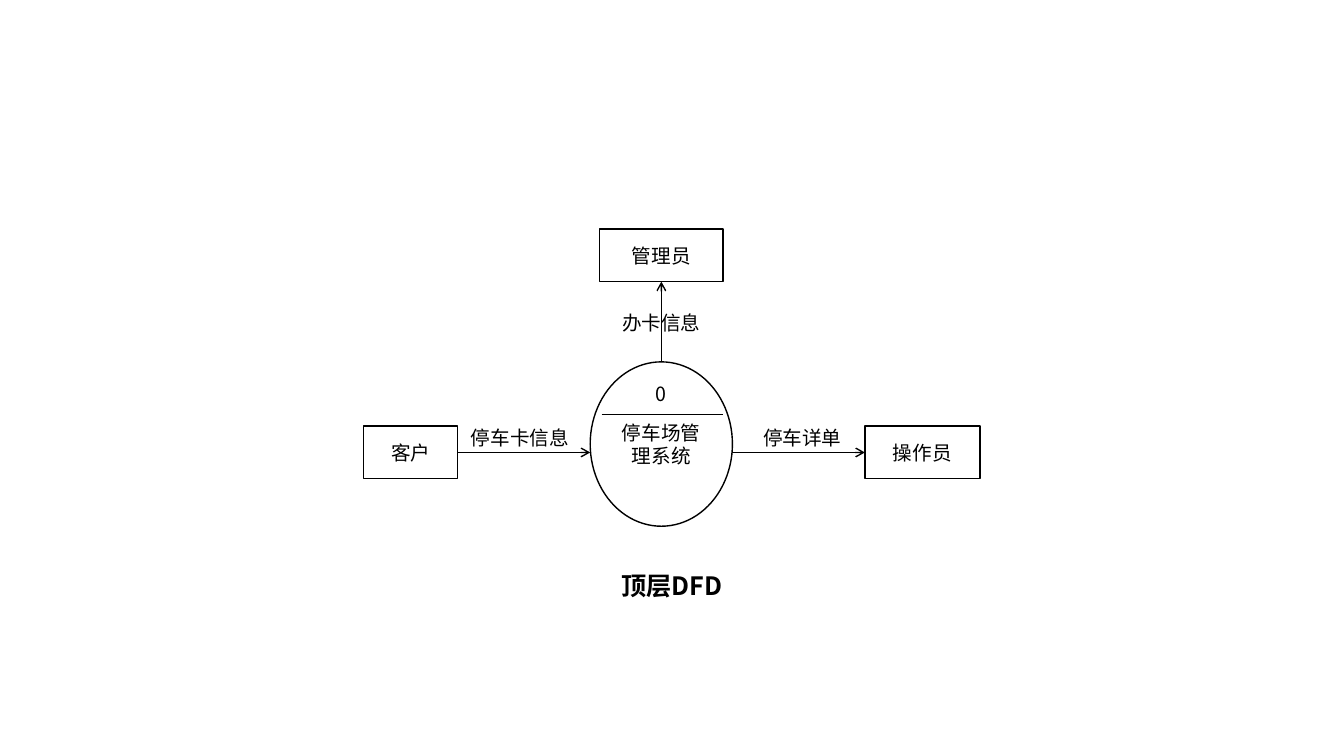
from dataclasses import dataclass
from pptx import Presentation
from pptx.dml.color import RGBColor as Rgb
from pptx.enum.shapes import MSO_CONNECTOR as Line, MSO_SHAPE as Kind
from pptx.enum.text import MSO_ANCHOR as Anchor, PP_ALIGN as Align
from pptx.oxml.ns import qn
from pptx.util import Pt
from lxml.etree import SubElement as Sub


@dataclass
class Theme:
    font: str = "Noto Sans CJK SC"
    ink: Rgb = Rgb(0, 0, 0)
    paper: Rgb = Rgb(255, 255, 255)
    body: int = 14
    head: int = 18
    line: int = 1


CAPTION = "顶层DFD"
MID, ROW = 472.4, 323.2
TOP, BASE = 258.5, 375.9
WIDE, HIGH = 101.6, 37.6
TAG_W, TAG_H = 95, 31.7
SYSTEM = ("停车场管理系统", Kind.OVAL, MID, (TOP + BASE) / 2, WIDE, BASE - TOP)
CLIENT = ("客户", Kind.RECTANGLE, 293.4, ROW, 67.2, HIGH)
STAFF = ("操作员", Kind.RECTANGLE, 658.9, ROW, 82.2, HIGH)
ADMIN = ("管理员", Kind.RECTANGLE, MID, 182.4, 88, HIGH)
TAGS = [
    ("停车卡信息", 371.5, 312.5),
    ("停车详单", 573.1, 312.5),
    ("办卡信息", MID, 230.4),
    ("0", MID, 281.5),
]
RULE = (429.8, 295.9, 516.2, 295.9)


def frame(x, y, w, h):
    return [Pt(round(v, 2)) for v in (x - w / 2, y - h / 2, w, h)]


def write(shape, text, size, bold=False):
    box = shape.text_frame
    box.word_wrap = True
    box.vertical_anchor = Anchor.MIDDLE
    par = box.paragraphs[0]
    par.alignment = Align.CENTER
    run = par.add_run()
    run.text = text
    font = run.font
    font.name, font.size, font.bold = theme.font, Pt(size), bold
    font.color.rgb = theme.ink
    Sub(font._element, qn("a:ea"), typeface=theme.font)


def stroke(line):
    line.color.rgb = theme.ink
    line.width = Pt(theme.line)


def node(text, kind, x, y, w, h):
    shape = shapes.add_shape(kind, *frame(x, y, w, h))
    shape.shadow.inherit = False
    shape.fill.solid()
    shape.fill.fore_color.rgb = theme.paper
    stroke(shape.line)
    write(shape, text, theme.body)
    return shape


def link(ends, arrow=True):
    wire = shapes.add_connector(Line.STRAIGHT, *[Pt(round(v, 2)) for v in ends])
    stroke(wire.line)
    Sub(wire._element.spPr, qn("a:effectLst"))
    if arrow:
        Sub(wire.line._get_or_add_ln(), qn("a:tailEnd"), type="arrow")
    return wire


theme = Theme()
deck = Presentation()
deck.slide_width, deck.slide_height = Pt(960), Pt(540)
slide = deck.slides.add_slide(deck.slide_layouts[5])
shapes = slide.shapes

system, client, staff, admin = [
    node(*item) for item in (SYSTEM, CLIENT, STAFF, ADMIN)
]

left, right = MID - WIDE / 2, MID + WIDE / 2
link((client.left.pt, ROW, left, ROW)).begin_connect(client, 3)
link((right, ROW, staff.left.pt, ROW)).end_connect(staff, 1)
rise = link((MID, TOP, MID, ADMIN[3]))
rise.begin_connect(system, 0)
rise.end_connect(admin, 2)
link(RULE, arrow=False)

for text, x, y in TAGS:
    write(shapes.add_textbox(*frame(x, y, TAG_W, TAG_H)), text, theme.body)

title = shapes.title
title.left, title.top, title.width, title.height = frame(480, 418.3, TAG_W, TAG_H)
write(title, CAPTION, theme.head, True)

deck.save("out.pptx")
